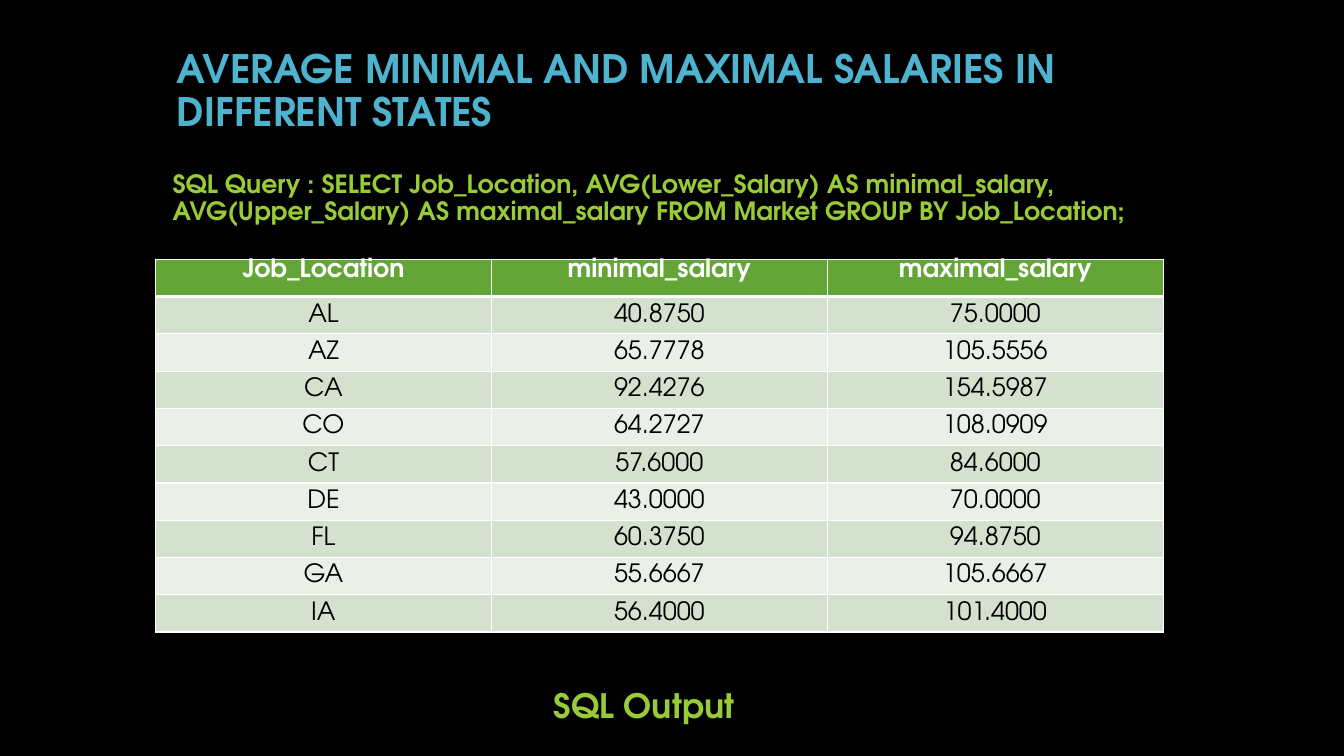
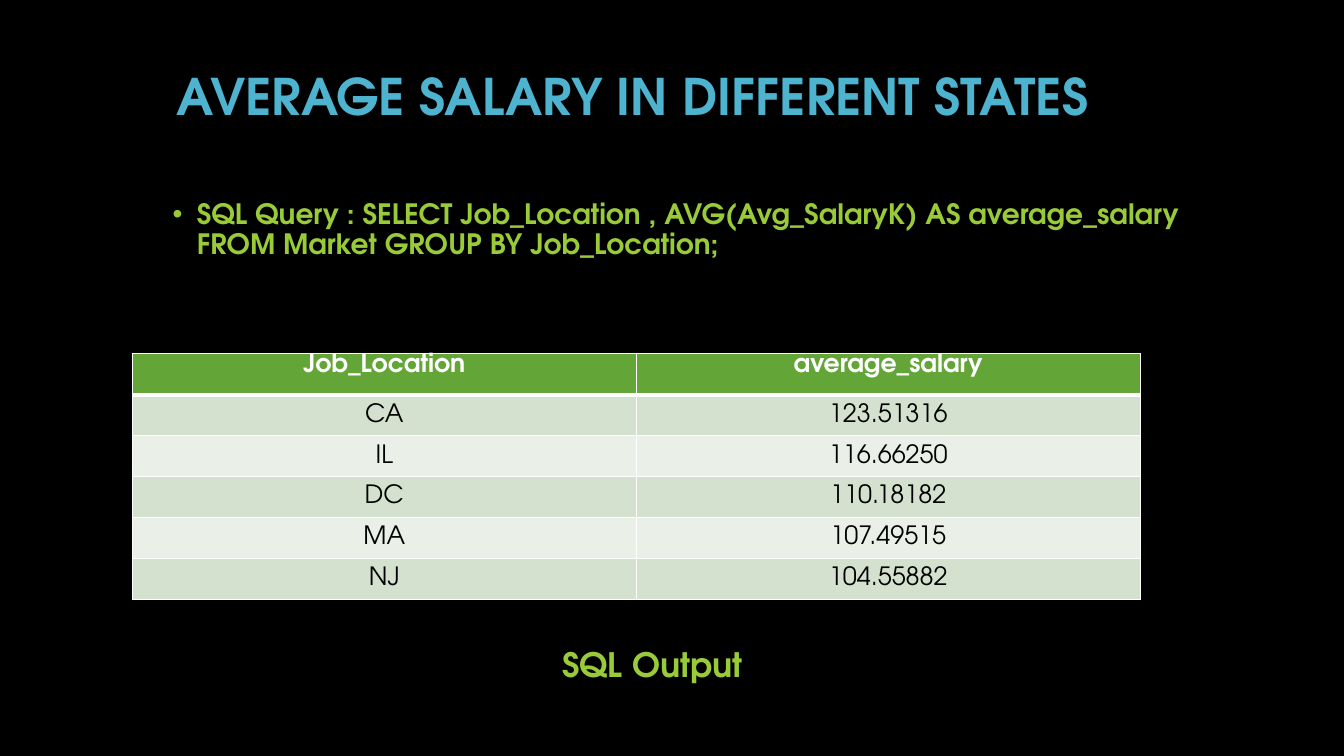
from lxml import etree
from pptx import Presentation, util as u
from pptx.dml.color import RGBColor
from pptx.enum import text
from pptx.oxml.ns import qn

PX = 9525
FONT = "TeX Gyre Adventor"
BLACK, WHITE = "000000", "FFFFFF"
TITLE_BLUE, LIME = "4EB3CF", "99CB38"
HEADER_GREEN, BANDS = "63A537", ("D3E1CE", "EAF0E8")

STATE_RANGES = [
    ("Job_Location", "minimal_salary", "maximal_salary"),
    ("AL", "40.8750", "75.0000"),
    ("AZ", "65.7778", "105.5556"),
    ("CA", "92.4276", "154.5987"),
    ("CO", "64.2727", "108.0909"),
    ("CT", "57.6000", "84.6000"),
    ("DE", "43.0000", "70.0000"),
    ("FL", "60.3750", "94.8750"),
    ("GA", "55.6667", "105.6667"),
    ("IA", "56.4000", "101.4000"),
]
STATE_AVERAGES = [
    ("Job_Location", "average_salary"),
    ("CA", "123.51316"),
    ("IL", "116.66250"),
    ("DC", "110.18182"),
    ("MA", "107.49515"),
    ("NJ", "104.55882"),
]


def px(*lengths):
    return [u.Emu(length * PX) for length in lengths]


def rgb(color):
    return RGBColor.from_string(color)


def set_font(paragraph, size, color, bold):
    font = paragraph.font
    font.name, font.size, font.bold = FONT, u.Pt(size), bold
    font.color.rgb = rgb(color)


def add_text(slide, box, words, size, color, anchor=text.MSO_ANCHOR.TOP):
    frame = slide.shapes.add_textbox(*px(*box)).text_frame
    frame.word_wrap = True
    frame.vertical_anchor = anchor
    paragraph = frame.paragraphs[0]
    paragraph.text = words
    paragraph.line_spacing = 0.9
    set_font(paragraph, size, color, True)
    return paragraph


def add_title(slide, words, size, height):
    add_text(slide, (159, 40, 960, height), words, size, TITLE_BLUE, text.MSO_ANCHOR.BOTTOM)


def add_bullet(paragraph, indent):
    """Hang a bullet in the text colour, indent px before the words."""
    props = paragraph._p.get_or_add_pPr()
    props.set("marL", str(indent * PX))
    props.set("indent", str(-indent * PX))
    etree.SubElement(props, qn("a:buFont"), typeface="Arial")
    etree.SubElement(props, qn("a:buChar"), char="•")


def set_borders(cell, **widths):
    """Draw white cell borders, 1 pt wide unless a side (L, R, T, B) is given."""
    props = cell._tc.get_or_add_tcPr()
    for place, side in enumerate("LRTB"):
        line = etree.Element(qn(f"a:ln{side}"), w=str(u.Pt(widths.get(side, 1))))
        fill = etree.SubElement(line, qn("a:solidFill"))
        etree.SubElement(fill, qn("a:srgbClr"), val=WHITE)
        props.insert(place, line)


def style_cell(cell, row):
    header = row == 0
    cell.margin_top = cell.margin_bottom = 0
    cell.vertical_anchor = text.MSO_ANCHOR.TOP if header else text.MSO_ANCHOR.MIDDLE
    cell.fill.solid()
    cell.fill.fore_color.rgb = rgb(HEADER_GREEN if header else BANDS[(row - 1) % 2])
    paragraph = cell.text_frame.paragraphs[0]
    paragraph.alignment = text.PP_ALIGN.CENTER
    set_font(paragraph, 18, WHITE if header else BLACK, header)
    set_borders(cell, B=3 if header else 1, T=3 if row == 1 else 1)


def add_result_table(slide, box, records):
    size = len(records), len(records[0])
    table = slide.shapes.add_table(*size, *px(*box)).table
    for row, record in enumerate(records):
        for column, value in enumerate(record):
            cell = table.cell(row, column)
            cell.text = value
            style_cell(cell, row)


def add_output_caption(slide, left, top):
    add_text(slide, (left, top, 310, 68), "SQL Output", 24, LIME)


def add_black_slide(deck):
    slide = deck.slides.add_slide(deck.slide_layouts[6])
    slide.background.fill.solid()
    slide.background.fill.fore_color.rgb = rgb(BLACK)
    return slide


def add_ranges_slide(deck):
    slide = add_black_slide(deck)
    add_title(slide, "AVERAGE MINIMAL AND MAXIMAL SALARIES IN DIFFERENT STATES", 28, 93)
    add_text(slide, (155, 159, 952, 72),
             "SQL Query : SELECT Job_Location, AVG(Lower_Salary) AS minimal_salary, "
             "AVG(Upper_Salary) AS maximal_salary FROM Market GROUP BY Job_Location;",
             18, LIME)
    add_result_table(slide, (148, 247, 960, 355), STATE_RANGES)
    add_output_caption(slide, 518, 652)


def add_averages_slide(deck):
    slide = add_black_slide(deck)
    add_title(slide, "AVERAGE SALARY IN DIFFERENT STATES", 36, 85)
    query = add_text(slide, (155, 186, 984, 98),
                     "SQL Query : SELECT Job_Location , AVG(Avg_SalaryK) AS average_salary "
                     "FROM Market GROUP BY Job_Location;", 20, LIME)
    add_bullet(query, 23)
    add_result_table(slide, (126, 337, 960, 234), STATE_AVERAGES)
    add_output_caption(slide, 526, 613)


def main():
    deck = Presentation()
    deck.slide_width, deck.slide_height = px(1280, 720)
    add_ranges_slide(deck)
    add_averages_slide(deck)
    deck.save("out.pptx")


if __name__ == "__main__":
    main()
